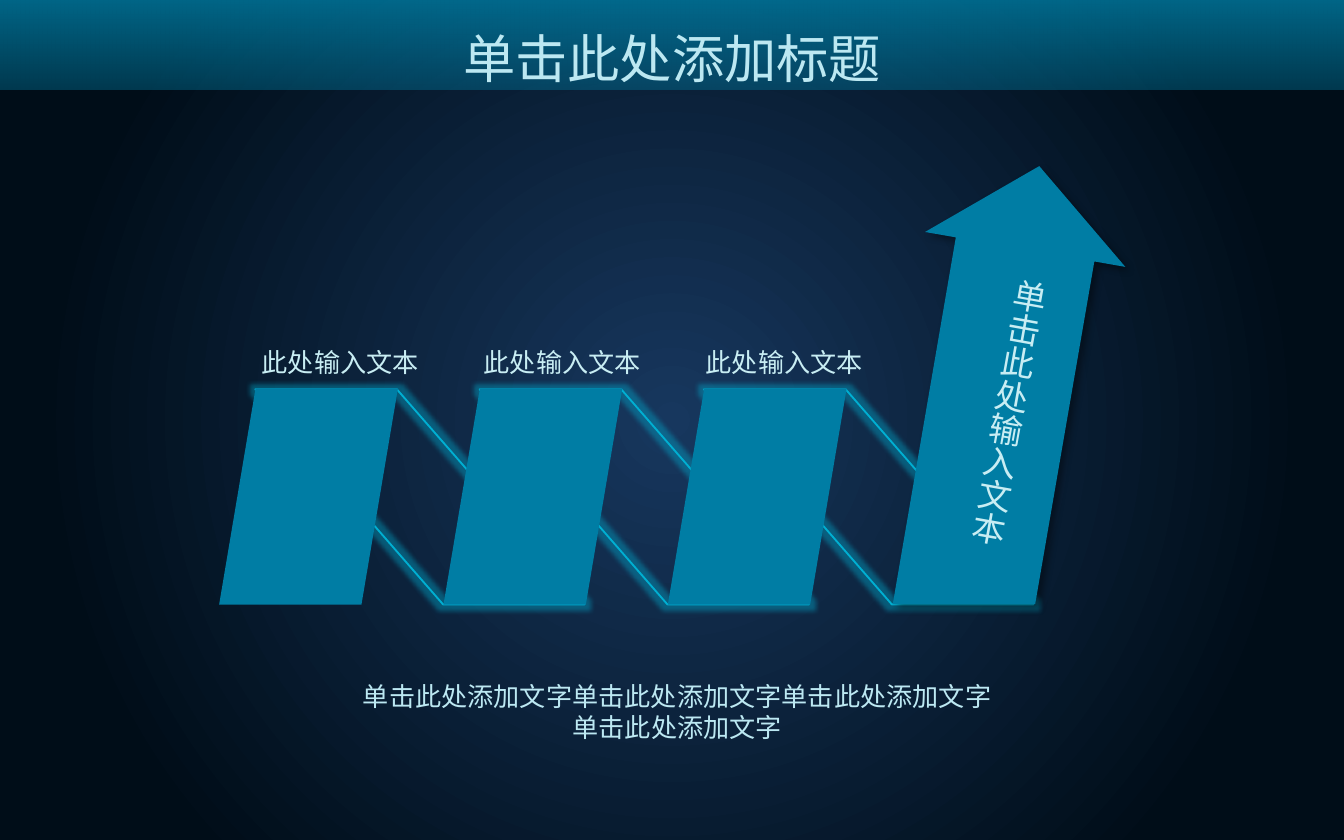
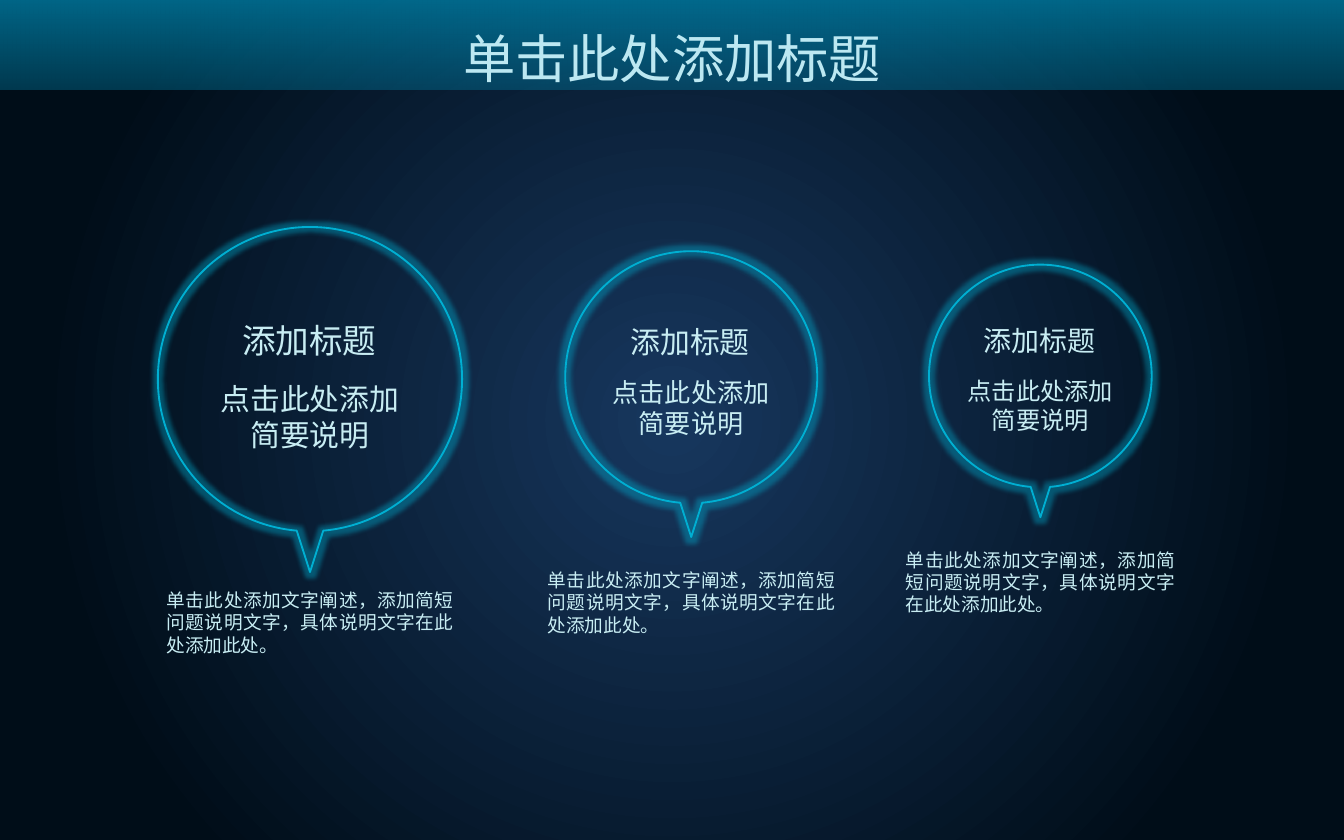
import math

import pptx
import pptx.dml.color
import pptx.enum.shapes
import pptx.enum.text
import pptx.oxml
import pptx.oxml.ns
import pptx.util

Pt = pptx.util.Pt
qn = pptx.oxml.ns.qn
SHAPE = pptx.enum.shapes.MSO_SHAPE
ALIGN = pptx.enum.text.PP_ALIGN
ANCHOR = pptx.enum.text.MSO_ANCHOR
AUTO_SIZE = pptx.enum.text.MSO_AUTO_SIZE

FONT = "Noto Sans CJK SC"
TEAL, CYAN, PALE, SOFT = "007DA4", "00AFD2", "C8EDF3", "BCE8F2"
TITLE = "单击此处添加标题"
LABEL = "此处输入文本"
DESCRIPTION = "单击此处添加文字阐述，添加简短问题说明文字，具体说明文字在此处添加此处。"


def color(value):
    return pptx.dml.color.RGBColor.from_string(value)


def parse_drawing(markup):
    """Turn DrawingML markup into an element, declaring the namespace."""
    head, gap, rest = markup.partition(">")
    slash = "/" if head.endswith("/") else ""
    head = head.rstrip("/")
    return pptx.oxml.parse_xml(f"{head} {pptx.oxml.ns.nsdecls('a')}{slash}{gap}{rest}")


def swap_gradient(parent, stops, direction):
    """Replace the solid fill of parent; stops are (position, colour, opacity) in percent."""
    stop_list = "".join(
        f'<a:gs pos="{position * 1000}"><a:srgbClr val="{value}">'
        f'<a:alpha val="{opacity * 1000}"/></a:srgbClr></a:gs>'
        for position, value, opacity in stops)
    gradient = parse_drawing(
        f'<a:gradFill rotWithShape="1"><a:gsLst>{stop_list}</a:gsLst>{direction}</a:gradFill>')
    parent.replace(parent.find(qn("a:solidFill")), gradient)


def linear(angle):
    return f'<a:lin ang="{angle * 60000}" scaled="0"/>'


def paint(shape, fill=None, line=None, effect=None):
    if fill:
        shape.fill.solid()
        shape.fill.fore_color.rgb = color(fill)
    else:
        shape.fill.background()
    if line:
        shape.line.color.rgb = color(line)
        shape.line.width = Pt(1)
    else:
        shape.line.fill.background()
    shape.shadow.inherit = False
    if effect:
        shape._element.spPr.find(qn("a:effectLst")).append(parse_drawing(effect))


GLOW = f'<a:glow rad="{Pt(5)}"><a:srgbClr val="{CYAN}"><a:alpha val="40000"/></a:srgbClr></a:glow>'
SHADOW = (f'<a:outerShdw blurRad="{Pt(4)}" dist="{Pt(3)}" dir="2700000" algn="tl" rotWithShape="0">'
          '<a:srgbClr val="000000"><a:alpha val="40000"/></a:srgbClr></a:outerShdw>')


def write(shape, text, size, value=PALE, align=ALIGN.LEFT, wrap=True):
    frame = shape.text_frame
    frame.text = text
    frame.word_wrap = wrap
    frame.auto_size = AUTO_SIZE.SHAPE_TO_FIT_TEXT
    frame.vertical_anchor = ANCHOR.TOP
    for para in frame.paragraphs:
        para.alignment = align
        for span in para.runs:
            span.font.size = Pt(size)
            span.font.color.rgb = color(value)
            span.font.name = FONT
            span._r.rPr.append(parse_drawing(f'<a:ea typeface="{FONT}"/>'))


def add_text(shapes, box, text, size, **style):
    write(shapes.add_textbox(*map(Pt, box)), text, size, **style)


def add_preset(shapes, kind, box, adjustments=(), **look):
    shape = shapes.add_shape(kind, *map(Pt, box))
    for index, value in enumerate(adjustments):
        shape.adjustments[index] = value
    paint(shape, **look)
    return shape


def add_outline(shapes, points, **look):
    first, *others = [(Pt(x), Pt(y)) for x, y in points]
    builder = shapes.build_freeform(*first)
    builder.add_line_segments(others, close=True)
    shape = builder.convert_to_shape()
    paint(shape, **look)
    return shape


def dress_master(deck):
    """Give the master its round glow background and its title band."""
    master = deck.slide_master
    fill = master.background.fill
    fill.solid()
    fill.fore_color.rgb = color("000D18")
    center = '<a:path path="circle"><a:fillToRect l="50000" t="50000" r="50000" b="50000"/></a:path>'
    swap_gradient(master.element.find(".//" + qn("p:bgPr")),
                  [(0, "17375E", 100), (80, "000D18", 100)], center)


def add_band(deck, page):
    """Draw the title band and hand it over to the master."""
    band = add_preset(page.shapes, SHAPE.ROUND_2_SAME_RECTANGLE, (0, 0, 720, 48.2), (0, 0), fill=TEAL)
    band._element.spPr.xfrm.set("flipV", "1")
    swap_gradient(band._element.spPr, [(0, TEAL, 39), (100, TEAL, 80)], linear(90))
    deck.slide_master.shapes._spTree.insert(2, band._element)


def add_page(deck):
    page = deck.slides.add_slide(deck.slide_layouts.get_by_name("Title Only"))
    title = page.shapes.title
    title.left, title.top, title.width, title.height = map(Pt, (207.4, 3.6, 305.2, 48.2))
    write(title, TITLE, 28, SOFT, ALIGN.CENTER)
    para = title.text_frame.paragraphs[0]
    para.line_spacing = 1.2
    swap_gradient(para.runs[0]._r.rPr, [(0, "4EC3DE", 100), (40, SOFT, 100),
                                        (60, SOFT, 100), (100, "4EC3DE", 100)], linear(0))
    return page


def add_steps(shapes, left, top, step=120.2, count=3):
    """Slanted blocks joined by glowing ribbons, each under a label."""
    for index in range(count):
        ribbon = add_preset(shapes, SHAPE.PARALLELOGRAM, (left + 19.4 + index * step, top + 0.6, 176.4, 115.2),
                            (0.873,), line=CYAN, effect=GLOW)
        ribbon._element.spPr.xfrm.set("flipH", "1")
    for index in range(count):
        add_text(shapes, (left + 15.8 + index * 118.9, top - 26, 99.2, 24.2), LABEL, 14, wrap=False)
    for index in range(count):
        add_preset(shapes, SHAPE.PARALLELOGRAM, (left + index * step, top, 95.8, 115.9), (0.204,), fill=TEAL)


def add_rising_arrow(shapes, left, top):
    group = shapes.add_group_shape().shapes
    corners = [(78.5, 0), (124.6, 54), (108, 51.1), (76.3, 234.7), (0, 234.7), (33.8, 38.2), (17.3, 35.3)]
    add_outline(group, [(left + x, top + y) for x, y in corners], fill=TEAL, effect=SHADOW)
    caption = add_preset(group, SHAPE.RECTANGLE, (left + 41, top + 52.5, 36, 151.2), fill=TEAL)
    caption.rotation = 10.2
    write(caption, "单击此处输入文本", 18, wrap=False)
    caption.text_frame._txBody.bodyPr.set("vert", "eaVert")


def add_balloon(shapes, left, top, diameter):
    """Circle with a pointed tail, open by ten degrees at the bottom."""
    radius = diameter / 2
    middle, center = left + radius, top + radius
    half_gap = math.radians(5)
    dx, base = radius * math.sin(half_gap), center + radius * math.cos(half_gap)
    points = [(middle, top + 1.134 * diameter), (middle + dx, base), (left + diameter, center),
              (middle, top), (left, center), (middle - dx, base)]
    balloon = add_outline(shapes, points, line=CYAN, effect=GLOW)
    outline = balloon._element.find(".//" + qn("a:path"))
    tail_side, *chords = outline.findall(qn("a:lnTo"))
    for chord in chords:
        outline.remove(chord)
    tail_side.addnext(parse_drawing(
        f'<a:arcTo wR="{Pt(radius)}" hR="{Pt(radius)}" stAng="{85 * 60000}" swAng="{-350 * 60000}"/>'))


def add_bubble(shapes, left, top, diameter, size, heading_drop, body_drop, note_top, note_width):
    group = shapes.add_group_shape().shapes
    middle = left + diameter / 2
    add_balloon(group, left, top, diameter)
    heading_width = 4 * (size + 2) + 15
    add_text(group, (middle - heading_width / 2, top + heading_drop, heading_width, 1.45 * size + 6),
             "添加标题", size + 2, wrap=False)
    body_width = 9 * (size - 1)
    add_text(group, (middle - body_width / 2, top + body_drop, body_width, 2.4 * size + 7.2),
             "点击此处添加\n简要说明", size, align=ALIGN.CENTER)
    add_text(shapes, (middle - note_width / 2, note_top, note_width, 43.9),
             DESCRIPTION, 10, align=ALIGN.JUSTIFY)


def build_arrow_page(deck):
    page = add_page(deck)
    add_band(deck, page)
    add_steps(page.shapes, 117.4, 208)
    add_text(page.shapes, (154.8, 360.7, 416.2, 41), "单击此处添加文字" * 3 + "\n单击此处添加文字",
             14, value=SOFT, align=ALIGN.CENTER)
    add_rising_arrow(page.shapes, 478.3, 89)


def build_bubble_page(deck):
    page = add_page(deck)
    add_bubble(page.shapes, 84.6, 121.6, 163, 16, 46, 78.6, 311.8, 168)
    add_bubble(page.shapes, 302.8, 134.6, 135, 14, 35.3, 63.4, 301, 168)
    add_bubble(page.shapes, 497.7, 141.8, 119.3, 13, 28, 56.2, 290.2, 158.4)


def main():
    deck = pptx.Presentation()
    deck.slide_width, deck.slide_height = Pt(720), Pt(450)
    dress_master(deck)
    build_arrow_page(deck)
    build_bubble_page(deck)
    deck.save("out.pptx")


if __name__ == "__main__":
    main()
